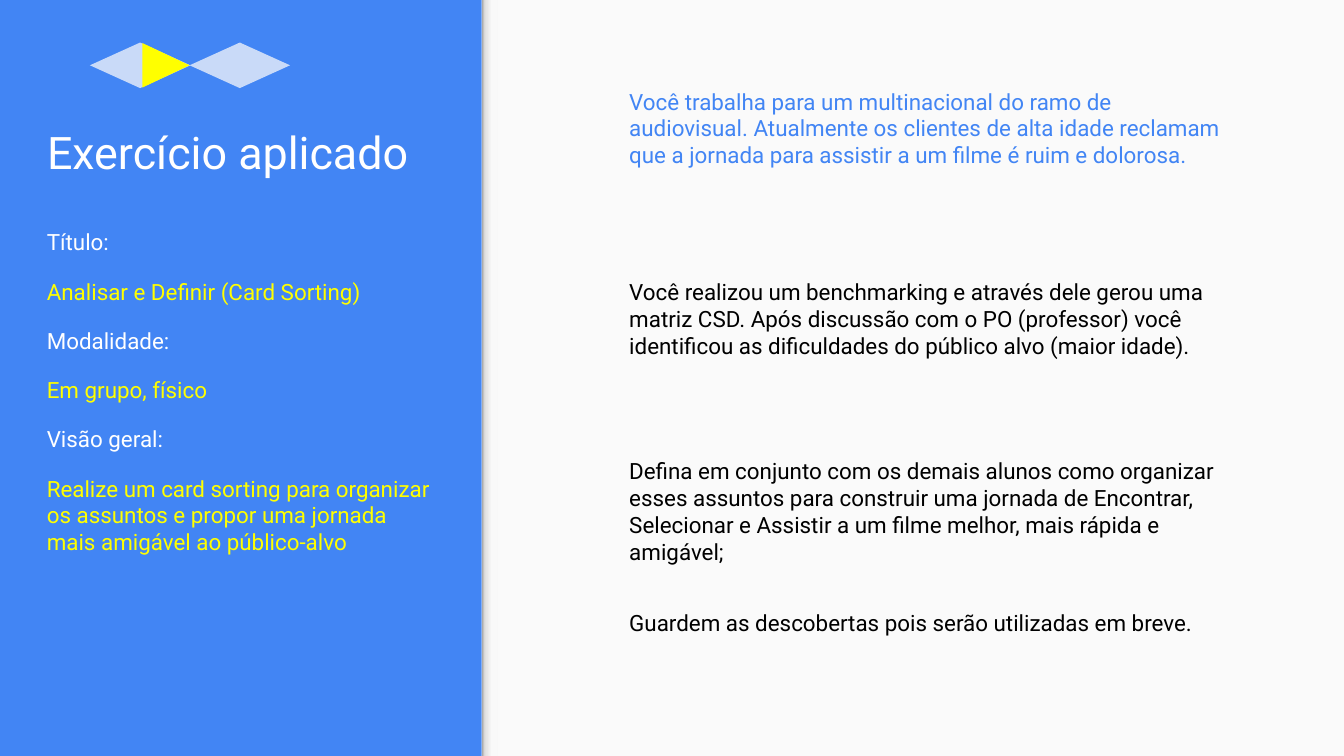
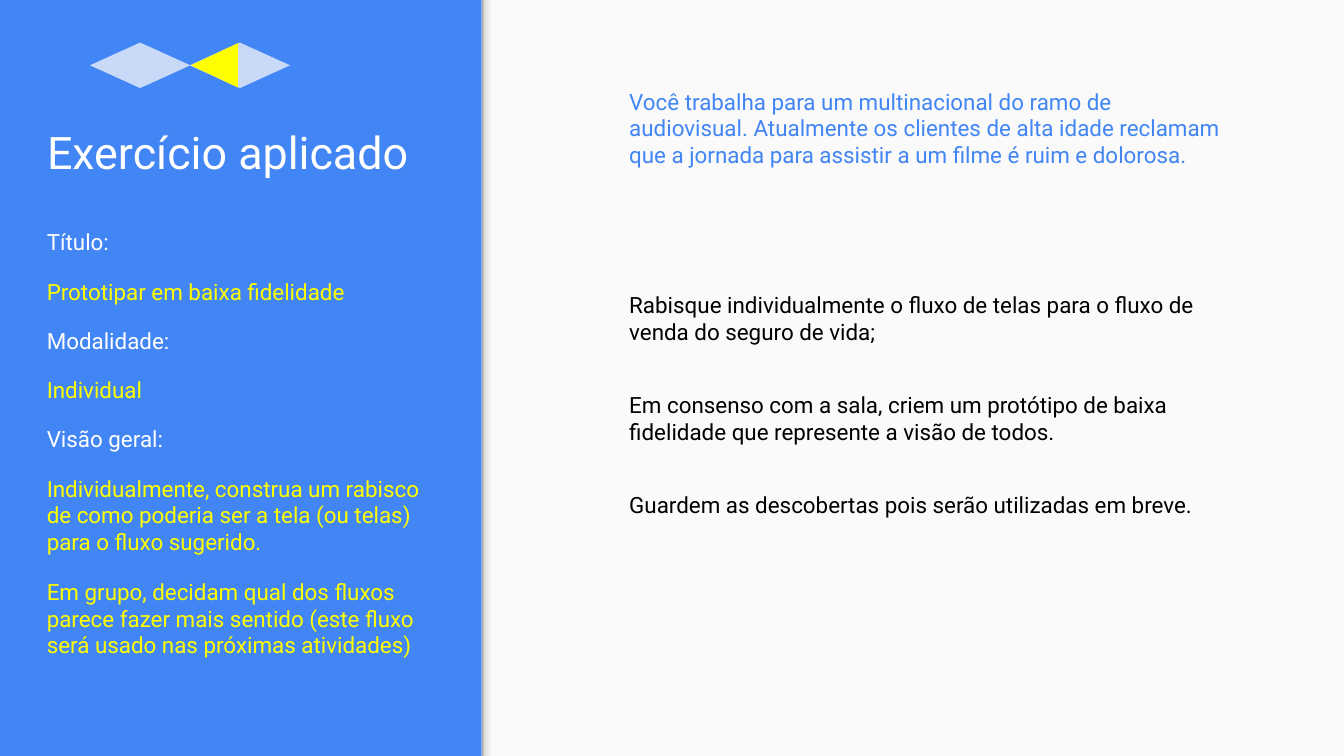
from lxml import etree
from pptx import Presentation
from pptx.dml.color import RGBColor
from pptx.enum import shapes, text
from pptx.oxml import ns
from pptx.util import Pt

BLUE, PALE, YELLOW = "4285F4", "C9DAF8", "FFFF00"
WHITE, BLACK, PAPER = "FFFFFF", "000000", "FAFAFA"
SHADE = [(0, "999999"), (20, "DEDEDE"), (64, "F9F9F9"), (100, "F9F9F9")]
FONT = "Roboto"
WIDTH, HEIGHT, SPLIT = 720, 405, 258
LINE = 14.4  # also the sum of a box's top and bottom insets
TITLE = "Exercício aplicado"
LABELS = ["Título:", "Modalidade:", "Visão geral:"]
CONTEXT = (
    "Você trabalha para um multinacional do ramo de audiovisual. Atualmente os "
    "clientes de alta idade reclamam que a jornada para assistir a um filme é "
    "ruim e dolorosa."
)
KEEP = "Guardem as descobertas pois serão utilizadas em breve."

# Each step is (top, line count, wording); each phase is (left, turn).
EXERCISES = [
    {
        "phase": (77, 90),
        "answers": [
            ["Analisar e Definir (Card Sorting)"],
            ["Em grupo, físico"],
            ["Realize um card sorting para organizar os assuntos e propor uma "
             "jornada mais amigável ao público-alvo"],
        ],
        "steps": [
            (142, 3, "Você realizou um benchmarking e através dele gerou uma "
             "matriz CSD. Após discussão com o PO (professor) você identificou "
             "as dificuldades do público alvo (maior idade)."),
            (237.8, 4, "Defina em conjunto com os demais alunos como organizar "
             "esses assuntos para construir uma jornada de Encontrar, "
             "Selecionar e Assistir a um filme melhor, mais rápida e amigável;"),
            (319, 1, KEEP),
        ],
    },
    {
        "phase": (103, 270),
        "answers": [
            ["Prototipar em baixa fidelidade"],
            ["Individual"],
            ["Individualmente, construa um rabisco de como poderia ser a tela "
             "(ou telas) para o fluxo sugerido.",
             "Em grupo, decidam qual dos fluxos parece fazer mais sentido "
             "(este fluxo será usado nas próximas atividades)"],
        ],
        "steps": [
            (148.6, 2, "Rabisque individualmente o fluxo de telas para o fluxo "
             "de venda do seguro de vida;"),
            (202.2, 2, "Em consenso com a sala, criem um protótipo de baixa "
             "fidelidade que represente a visão de todos."),
            (255.8, 1, KEEP),
        ],
    },
]


def rgb(code):
    return RGBColor.from_string(code)


class Deck:
    def __init__(self):
        self.prs = Presentation()
        self.prs.slide_width, self.prs.slide_height = Pt(WIDTH), Pt(HEIGHT)
        back = self.prs.slide_master.background.fill
        back.solid()
        back.fore_color.rgb = rgb(BLUE)
        self.slide = None

    def start(self, title):
        """Add a slide with its title, side panel and panel shade."""
        self.slide = self.prs.slides.add_slide(self.prs.slide_layouts[5])
        self.shape("RECTANGLE", SPLIT, 0, WIDTH - SPLIT, HEIGHT, PAPER)
        self.shade(SPLIT, 0, 8.6, HEIGHT)
        head = self.slide.shapes.title
        head.left, head.top, head.width, head.height = map(Pt, (18, 28, 221, 75))
        self.words(head.text_frame, [(title, WHITE)], 24)
        head.text_frame.vertical_anchor = text.MSO_ANCHOR.BOTTOM

    def shape(self, kind, left, top, width, height, color, turn=0):
        item = self.slide.shapes.add_shape(
            shapes.MSO_SHAPE[kind], *map(Pt, (left, top, width, height)))
        item.shadow.inherit = False
        item.fill.solid()
        item.fill.fore_color.rgb = rgb(color)
        item.line.fill.background()
        item.rotation = turn
        return item

    def shade(self, *box):
        """Add a strip that fades from left to right through the SHADE stops."""
        item = self.shape("RECTANGLE", *box, PAPER)
        item.fill.gradient()
        item.fill.gradient_angle = 0
        stops = item.element.spPr.find(".//" + ns.qn("a:gsLst"))
        stops.clear()
        for place, color in SHADE:
            stop = etree.SubElement(stops, ns.qn("a:gs"), pos=str(place * 1000))
            etree.SubElement(stop, ns.qn("a:srgbClr"), val=color)

    def box(self, left, top, width, height, lines, grow=False):
        item = self.slide.shapes.add_textbox(*map(Pt, (left, top, width, height)))
        self.words(item.text_frame, lines, 12)
        if grow:
            item.text_frame.auto_size = text.MSO_AUTO_SIZE.SHAPE_TO_FIT_TEXT

    def words(self, frame, lines, size):
        """Fill a frame with (wording, colour) paragraphs."""
        frame.text = "\n".join(line for line, _ in lines)
        frame.word_wrap = True
        frame.auto_size = text.MSO_AUTO_SIZE.NONE
        frame.margin_left = frame.margin_right = Pt(LINE / 2)
        frame.margin_top = frame.margin_bottom = Pt(LINE / 2)
        for i, (para, (_, color)) in enumerate(zip(frame.paragraphs, lines)):
            para.alignment = text.PP_ALIGN.LEFT
            para.space_before = Pt(12 if i else 0)
            for run in para.runs:
                run.font.name, run.font.size = FONT, Pt(size)
                run.font.color.rgb = rgb(color)

    def step(self, top, count, line, color=BLACK):
        self.box(330, top, 332.6, LINE * (count + 1), [(line, color)], grow=True)

    def phases(self, left, turn):
        """Draw the two diamonds and light up one half."""
        for i in range(2):
            self.shape("DIAMOND", 48.2 + 53.4 * i, 22.8, 53.8, 24.4, PALE)
        self.shape("ISOSCELES_TRIANGLE", left, 22.4, 23.8, 25.2, YELLOW, turn)


def main():
    deck = Deck()
    for task in EXERCISES:
        deck.start(TITLE)
        lines = []
        for label, answers in zip(LABELS, task["answers"]):
            lines.append((label, WHITE))
            lines += [(answer, YELLOW) for answer in answers]
        deck.box(18, 115.2, 221, 249, lines)
        for step in task["steps"]:
            deck.step(*step)
        deck.phases(*task["phase"])
        deck.step(39.8, 3, CONTEXT, BLUE)
    deck.prs.save("out.pptx")


if __name__ == "__main__":
    main()
